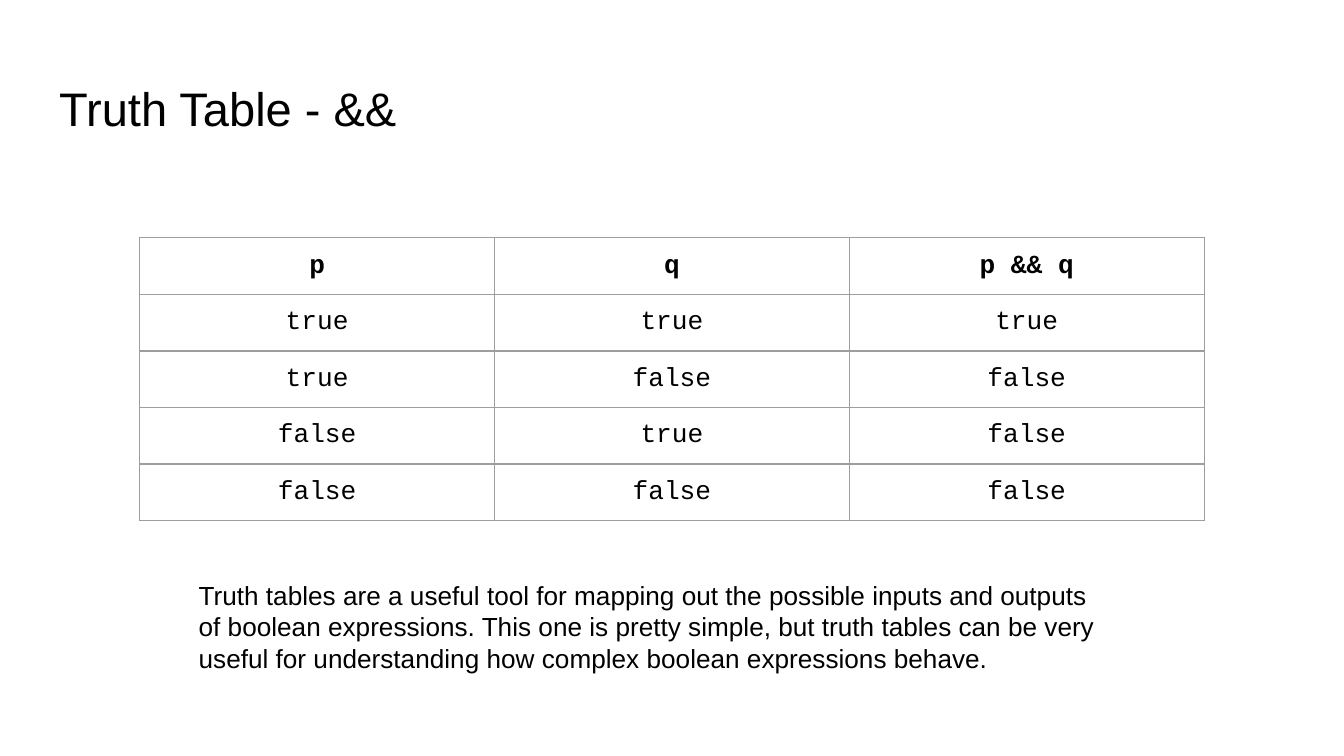
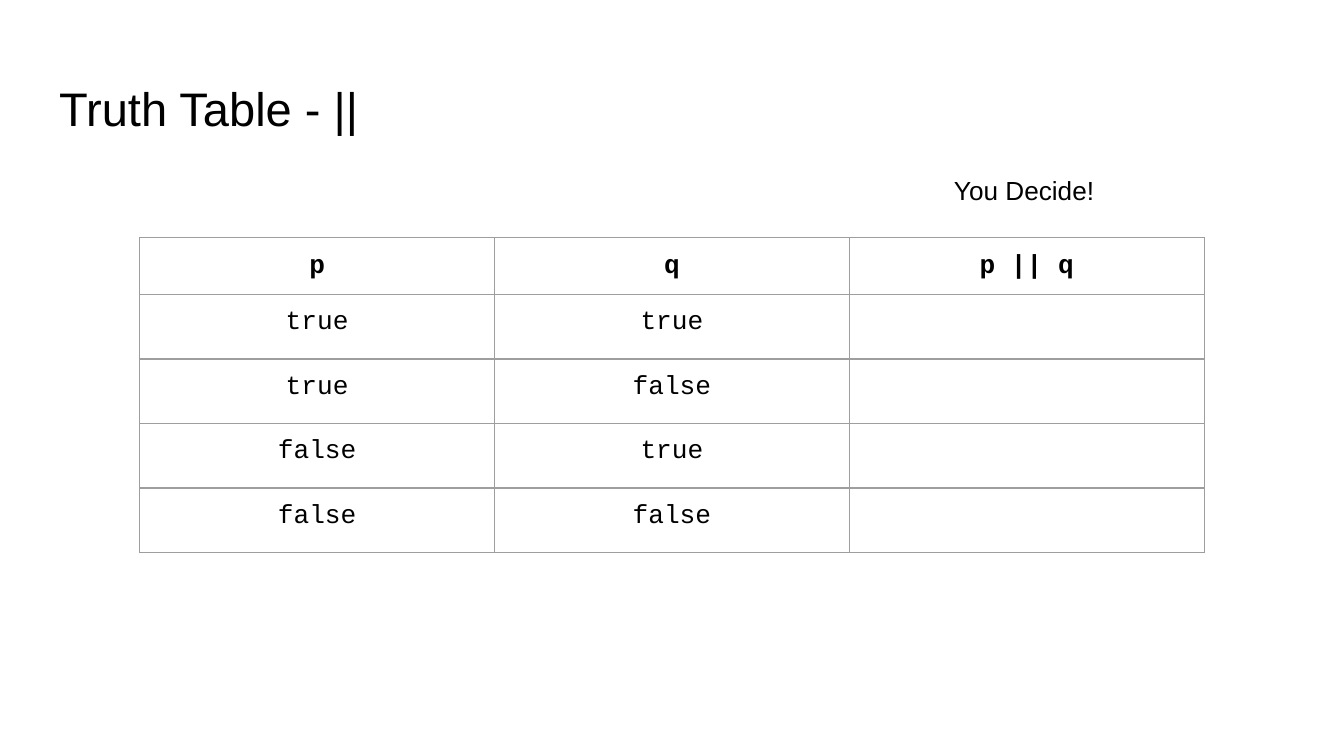
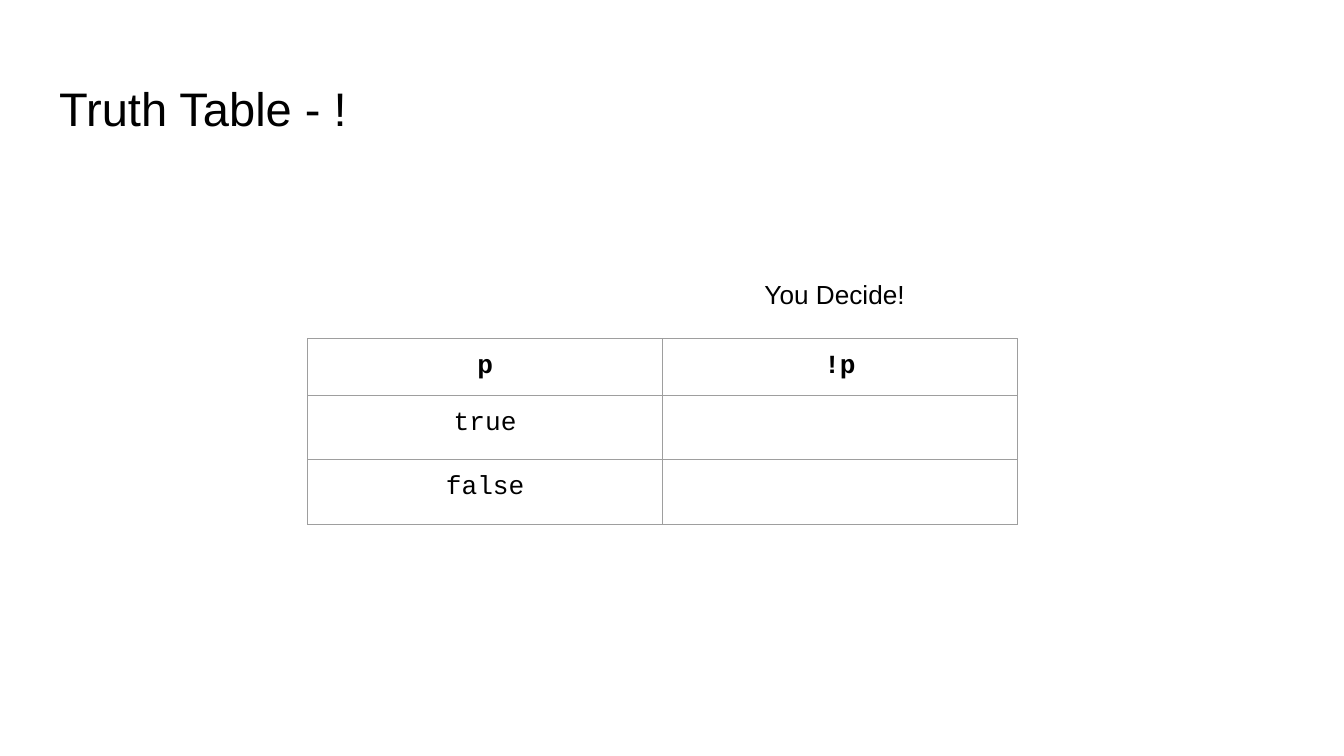
import itertools

import lxml.etree
import pptx
import pptx.dml.color
import pptx.enum.text
import pptx.oxml.ns
import pptx.util
from pptx.util import Inches

BLACK, WHITE, GRID = "000000", "FFFFFF", "9E9E9E"
PROSE, CODE = "Arial", "Courier New"
TITLE_SIZE, TEXT_SIZE, BLANK_SIZE = 25.2, 14, 18
INSET, COLUMN_WIDTH, ROW_HEIGHT = 0.1, 2.64, 0.42

TRUTH_VALUES = ("true", "false")
INPUT_PAIRS = list(itertools.product(TRUTH_VALUES, repeat=2))

# Boxes are left, top, width, height in inches; empty results are for the class to fill in.
SLIDES = [
    {
        "title": "Truth Table - &&",
        "header": ("p", "q", "p && q"),
        "rows": list(zip(*zip(*INPUT_PAIRS), ("true", "false", "false", "false"))),
        "corner": (1.04, 1.77),
        "remark": "Truth tables are a useful tool for mapping out the possible inputs and "
                  "outputs of boolean expressions. This one is pretty simple, but truth tables "
                  "can be very useful for understanding how complex boolean expressions behave.",
        "remark_box": (1.38, 4.21, 6.93, 0.91),
    },
    {
        "title": "Truth Table - ||",
        "header": ("p", "q", "p || q"),
        "rows": [(*pair, "") for pair in INPUT_PAIRS],
        "corner": (1.04, 1.77),
        "remark": "You Decide!",
        "remark_box": (7, 1.2, 3.26, 0.44),
    },
    {
        "title": "Truth Table - !",
        "header": ("p", "!p"),
        "rows": [(value, "") for value in TRUTH_VALUES],
        "corner": (2.29, 2.52),
        "remark": "You Decide!",
        "remark_box": (5.59, 1.97, 3.26, 0.44),
    },
]


def color(value):
    return pptx.dml.color.RGBColor.from_string(value)


def add_child(parent, tag, **attributes):
    return lxml.etree.SubElement(parent, pptx.oxml.ns.qn(tag), **attributes)


def set_insets(holder):
    """Give a text frame or a table cell the same margin on all sides."""
    for side in ("left", "top", "right", "bottom"):
        setattr(holder, f"margin_{side}", Inches(INSET))


def write(paragraph, words, size, font, bold=False):
    run = paragraph.add_run()
    run.text = words
    run.font.size = pptx.util.Pt(size)
    run.font.name = font
    run.font.bold = bold
    run.font.color.rgb = color(BLACK)


def add_title(slide, words):
    title = slide.shapes.title
    title.left, title.top, title.width, title.height = map(Inches, (0.34, 0.49, 9.32, 0.63))
    frame = title.text_frame
    set_insets(frame)
    frame.auto_size = pptx.enum.text.MSO_AUTO_SIZE.NONE
    frame.vertical_anchor = pptx.enum.text.MSO_ANCHOR.TOP
    frame.paragraphs[0].alignment = pptx.enum.text.PP_ALIGN.LEFT
    write(frame.paragraphs[0], words, TITLE_SIZE, PROSE)


def draw_borders(cell):
    """Line all four sides; borders must come before the cell's fill in the XML."""
    properties = cell._tc.get_or_add_tcPr()
    for side in ("a:lnL", "a:lnR", "a:lnT", "a:lnB"):
        line = add_child(properties, side, w=str(pptx.util.Pt(0.75)))
        add_child(add_child(line, "a:solidFill"), "a:srgbClr", val=GRID)


def fill_cell(cell, words, bold):
    set_insets(cell)
    draw_borders(cell)
    cell.fill.background()
    paragraph = cell.text_frame.paragraphs[0]
    paragraph.alignment = pptx.enum.text.PP_ALIGN.CENTER
    if words:
        write(paragraph, words, TEXT_SIZE, CODE, bold)
    else:
        blank = add_child(paragraph._p, "a:endParaRPr", sz=str(BLANK_SIZE * 100))
        add_child(blank, "a:latin", typeface=PROSE)


def add_truth_table(slide, header, rows, corner):
    lines = [header, *rows]
    size = (COLUMN_WIDTH * len(header), ROW_HEIGHT * len(lines))
    table = slide.shapes.add_table(
        len(lines), len(header), *map(Inches, (*corner, *size))).table
    table.first_row = table.horz_banding = False
    for column in table.columns:
        column.width = Inches(COLUMN_WIDTH)
    for r, line in enumerate(lines):
        table.rows[r].height = Inches(ROW_HEIGHT)
        for c, words in enumerate(line):
            fill_cell(table.cell(r, c), words, bold=r == 0)


def add_remark(slide, words, box):
    frame = slide.shapes.add_textbox(*map(Inches, box)).text_frame
    set_insets(frame)
    frame.word_wrap = True
    frame.auto_size = pptx.enum.text.MSO_AUTO_SIZE.SHAPE_TO_FIT_TEXT
    write(frame.paragraphs[0], words, TEXT_SIZE, PROSE)


def main():
    deck = pptx.Presentation()
    deck.slide_width = Inches(10)
    deck.slide_height = deck.slide_width * 9 // 16
    backdrop = deck.slide_master.background.fill
    backdrop.solid()
    backdrop.fore_color.rgb = color(WHITE)
    title_only = deck.slide_layouts.get_by_name("Title Only")
    for content in SLIDES:
        slide = deck.slides.add_slide(title_only)
        add_title(slide, content["title"])
        add_truth_table(slide, content["header"], content["rows"], content["corner"])
        add_remark(slide, content["remark"], content["remark_box"])
    deck.save("out.pptx")


if __name__ == "__main__":
    main()
